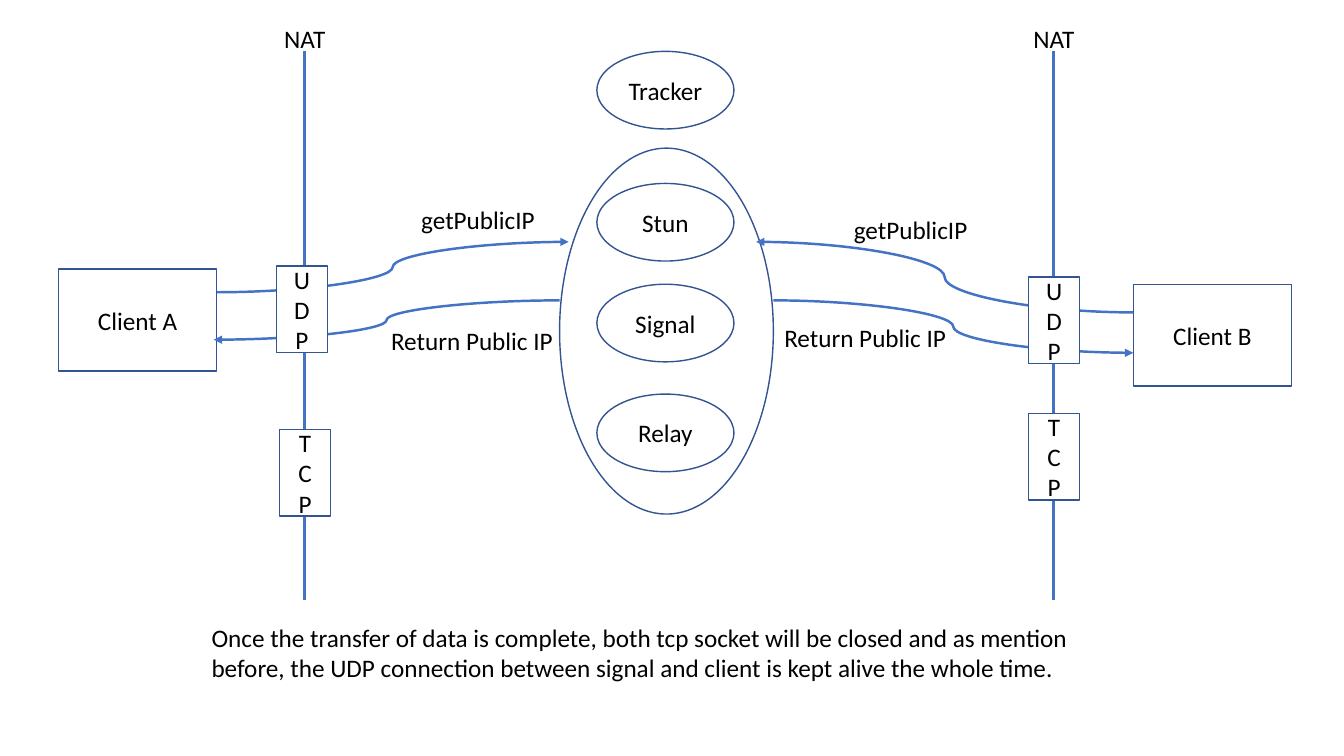
from lxml import etree
from pptx import Presentation
from pptx.dml.color import RGBColor
from pptx.enum import shapes, text
from pptx.oxml import ns
from pptx.util import Inches, Pt

BLACK = RGBColor(0x00, 0x00, 0x00)
WHITE = RGBColor(0xFF, 0xFF, 0xFF)
OUTLINE = RGBColor(0x32, 0x54, 0x91)
BLUE = RGBColor(0x44, 0x72, 0xC4)
RECT = shapes.MSO_SHAPE.RECTANGLE
OVAL = shapes.MSO_SHAPE.OVAL
STRAIGHT = shapes.MSO_CONNECTOR.STRAIGHT
CURVE = shapes.MSO_CONNECTOR.CURVE

prs = Presentation()
prs.slide_width = Inches(13.33)
prs.slide_height = Inches(7.5)
s = prs.slides.add_slide(prs.slide_layouts[6])


def write(sp, words, align, wrap=True):
    tf = sp.text_frame
    tf.word_wrap = wrap
    tf.text = words
    for p in tf.paragraphs:
        p.alignment = align
        for r in p.runs:
            r.font.size = Pt(18)
            r.font.name = "Calibri"
            r.font.color.rgb = BLACK


def add_node(kind, box, words="", fill=None):
    sp = s.shapes.add_shape(kind, *map(Inches, box))
    sp.shadow.inherit = False
    if fill is None:
        sp.fill.background()
    else:
        sp.fill.solid()
        sp.fill.fore_color.rgb = fill
    sp.line.color.rgb = OUTLINE
    sp.line.width = Pt(1)
    sp.text_frame.vertical_anchor = text.MSO_ANCHOR.MIDDLE
    write(sp, words, text.PP_ALIGN.CENTER)


for name, left, top in [("Client A", 0.58, 2.67), ("Client B", 11.24, 2.82)]:
    add_node(RECT, (left, top, 1.57, 1.01), name)

for name, top in [("Tracker", 0.51), ("Stun", 1.82), ("Signal", 2.82), ("Relay", 3.91)]:
    add_node(OVAL, (5.92, top, 1.36, 0.77), name)
add_node(OVAL, (5.55, 1.47, 2.12, 3.63))

links = [
    (STRAIGHT, 3.02, 0.51, 3.02, 5.95),
    (STRAIGHT, 10.45, 0.51, 10.45, 5.95),
    (CURVE, 2.15, 2.9, 5.64, 2.4),
    (CURVE, 5.55, 2.98, 2.12, 3.37),
    (CURVE, 11.24, 3.1, 7.5, 2.4),
    (CURVE, 7.67, 2.98, 11.24, 3.5),
]
for kind, *ends in links:
    link = s.shapes.add_connector(kind, *map(Inches, ends))
    link.line.color.rgb = BLUE
    link.line.width = Pt(2.25 if kind == STRAIGHT else 1.75)
    if kind == CURVE:
        etree.SubElement(link.line._get_or_add_ln(), ns.qn("a:tailEnd"), type="triangle")
    etree.SubElement(link._element.spPr, ns.qn("a:effectLst"))

ports = [("UDP", 2.74, 2.64), ("TCP", 2.77, 4.26), ("UDP", 10.2, 2.75), ("TCP", 10.2, 4.1)]
for protocol, left, top in ports:
    add_node(RECT, (left, top, 0.51, 0.86), "\v".join(protocol), WHITE)

closing = (
    "Once the transfer of data is complete, both tcp socket will be closed and as mention "
    "before, the UDP connection between signal and client is kept alive the whole time."
)
labels = [
    ("NAT", 2.72, 0.18, 0.61, 0.4),
    ("NAT", 10.15, 0.18, 0.61, 0.4),
    ("getPublicIP", 4.08, 1.98, 1.37, 0.4),
    ("getPublicIP", 8.37, 2.08, 1.37, 0.4),
    ("Return Public IP", 3.78, 3.18, 1.89, 0.4),
    ("Return Public IP", 7.68, 3.15, 1.89, 0.4),
    (closing, 2, 6.12, 9.34, 0.71),
]
for words, *box in labels:
    label = s.shapes.add_textbox(*map(Inches, box))
    write(label, words, text.PP_ALIGN.LEFT, words != "NAT")

prs.save("out.pptx")
